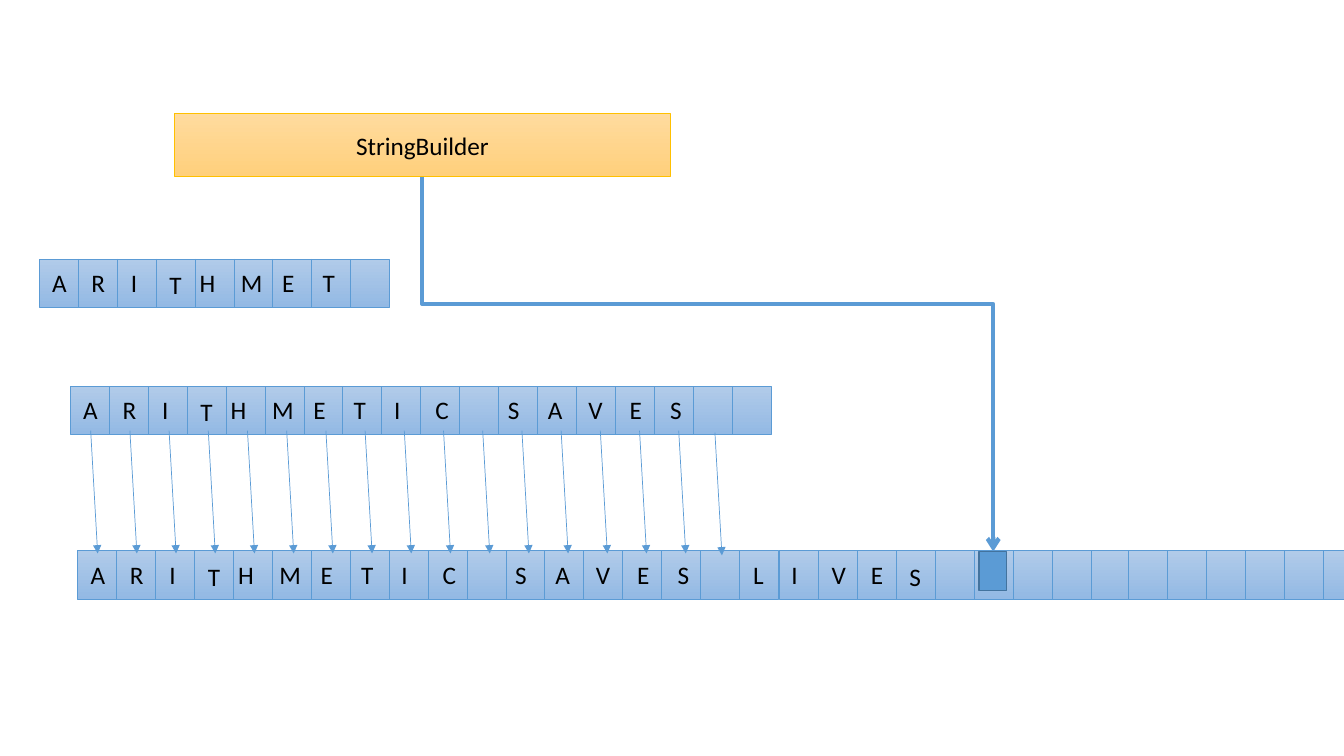
from lxml import etree
from pptx import Presentation
from pptx.dml.color import RGBColor
from pptx.enum.shapes import MSO_CONNECTOR, MSO_SHAPE
from pptx.enum.text import MSO_ANCHOR, MSO_AUTO_SIZE, PP_ALIGN
from pptx.oxml.ns import qn
from pptx.util import Inches, Pt

RECTANGLE = MSO_SHAPE.RECTANGLE
STRAIGHT = MSO_CONNECTOR.STRAIGHT
ELBOW = MSO_CONNECTOR.ELBOW
MIDDLE = MSO_ANCHOR.MIDDLE
CENTER = PP_ALIGN.CENTER
GROW = MSO_AUTO_SIZE.SHAPE_TO_FIT_TEXT

BLOCK_CELLS = 9
SENTENCE = "ARITHMETIC SAVES LIVES"
CENTRES = [0.53, 1.54, 2.45, 3.5, 4.33, 5.47, 6.4, 7.44, 8.41, 9.56, 10.5,
           11.4, 12.47, 13.51, 14.53, 15.57, 16.5,
           17.5, 18.43, 19.57, 20.54, 21.53]
LETTER_WIDTHS = {"A": 0.91, "R": 0.91, "I": 0.7, "T": 0.83, "H": 0.93, "M": 1.09,
                 "E": 0.83, "C": 0.88, "S": 0.83, "V": 0.91, "L": 0.8}
LOWERED = {3: 0.04, 21: 0.04}


def color(value):
    return RGBColor.from_string(value)


class Diagram:
    column, row = 0.386, 0.48
    font, size, ink = "Calibri", 18, "000000"
    blue, edge, gold = "5B9BD5", "43739E", "FFC000"
    blue_fade = ("B1CBE9", "93B9E4")
    gold_fade = ("FFDB9E", "FFD07C")

    def __init__(self, slide):
        self.shapes = slide.shapes

    def x(self, columns):
        return Inches(columns * self.column)

    def y(self, rows):
        return Inches(rows * self.row)

    def set_text(self, frame, text):
        frame.text = text
        font = frame.paragraphs[0].runs[0].font
        font.name, font.size = self.font, Pt(self.size)
        font.color.rgb = color(self.ink)

    def box(self, shapes, left, top, width, height, fade, outline, weight):
        box = shapes.add_shape(RECTANGLE, self.x(left), self.y(top),
                               self.x(width), self.y(height))
        box.shadow.inherit = False
        if len(fade) == 1:
            box.fill.solid()
            box.fill.fore_color.rgb = color(fade[0])
        else:
            box.fill.gradient()
            box.fill.gradient_angle = 270
            for stop, shade in zip(box.fill.gradient_stops, fade):
                stop.color.rgb = color(shade)
        box.line.color.rgb = color(outline)
        box.line.width = Pt(weight)
        return box

    def label_box(self, text, *place):
        box = self.box(self.shapes, *place, self.gold_fade, self.gold, 0.5)
        self.set_text(box.text_frame, text)
        box.text_frame.vertical_anchor = MIDDLE
        box.text_frame.paragraphs[0].alignment = CENTER

    def marker(self, *place):
        self.box(self.shapes, *place, (self.blue,), self.edge, 1)

    def line(self, shapes, kind, start, end, weight=0.5, head=None):
        line = shapes.add_connector(kind, self.x(start[0]), self.y(start[1]),
                                    self.x(end[0]), self.y(end[1]))
        line.line.color.rgb = color(self.blue)
        line.line.width = Pt(weight)
        properties = line._element.spPr
        etree.SubElement(properties, qn("a:effectLst"))
        if head:
            etree.SubElement(properties.find(qn("a:ln")), qn("a:tailEnd"), type=head)
        return line

    def arrow(self, start, end):
        self.line(self.shapes, STRAIGHT, start, end, head="triangle")

    def drop_elbow(self, start, end, bend):
        line = self.line(self.shapes, ELBOW, start, end, 3, "arrow")
        across, down = line.width, line.height
        middle_x, middle_y = line.left + across // 2, line.top + down // 2
        line.left, line.top = middle_x - down // 2, middle_y - across // 2
        line.width, line.height = down, across
        properties = line._element.spPr
        frame = properties.find(qn("a:xfrm"))
        frame.set("rot", "16200000")
        frame.set("flipH", "1")
        geometry = properties.find(qn("a:prstGeom"))
        adjust = geometry.find(qn("a:avLst"))
        if adjust is None:
            adjust = etree.SubElement(geometry, qn("a:avLst"))
        etree.SubElement(adjust, qn("a:gd"), name="adj1", fmla=f"val {bend * 1000}")

    def block(self, left, top, dividers=BLOCK_CELLS - 1):
        cells = self.shapes.add_group_shape().shapes
        self.box(cells, left, top, BLOCK_CELLS, 1, self.blue_fade, self.blue, 0.5)
        for cell in range(1, dividers + 1):
            self.line(cells, STRAIGHT, (left + cell, top), (left + cell, top + 1))

    def letters(self, text, left, top):
        for index, letter in enumerate(text):
            if letter == " ":
                continue
            width = LETTER_WIDTHS[letter]
            box = self.shapes.add_textbox(
                self.x(left + CENTRES[index] - width / 2),
                self.y(top + 0.07 + LOWERED.get(index, 0)),
                self.x(width), self.y(0.83))
            box.text_frame.word_wrap = False
            box.text_frame.auto_size = GROW
            self.set_text(box.text_frame, letter)


presentation = Presentation()
presentation.slide_width = Inches(13.33)
presentation.slide_height = Inches(7.5)
diagram = Diagram(presentation.slides.add_slide(presentation.slide_layouts[6]))

short_left, short_top = 1.01, 5.35
middle_left, middle_top = 1.81, 7.98
long_left, long_top = 2, 11.38

diagram.block(short_left, short_top)
for block_left in (middle_left, middle_left + BLOCK_CELLS):
    diagram.block(block_left, middle_top)
for block_left in (long_left, long_left + BLOCK_CELLS, long_left + 2 * BLOCK_CELLS + 0.03):
    diagram.block(block_left, long_top)
diagram.block(long_left + 3 * BLOCK_CELLS, long_top, dividers=5)

diagram.label_box("StringBuilder", 4.48, 2.35, 12.75, 1.29)
diagram.drop_elbow((10.85, 3.65), (25.52, 11.4), 34)
diagram.marker(25.16, 11.4, 0.7, 0.81)

diagram.letters(SENTENCE[:7] + "T", short_left, short_top)
diagram.letters(SENTENCE[:16], middle_left, middle_top)
diagram.letters(SENTENCE, long_left, long_top)

first_copy, last_copy, copies = 2.33, 17.44, 16
copy_step = (last_copy - first_copy) / (copies - 1)
copy_starts = [(first_copy + index * copy_step, 8.9) for index in range(copies)]
for start_x, start_y in copy_starts + [(18.37, 8.94)]:
    diagram.arrow((start_x, start_y), (start_x + 0.18, start_y + 2.54))

presentation.save("out.pptx")
